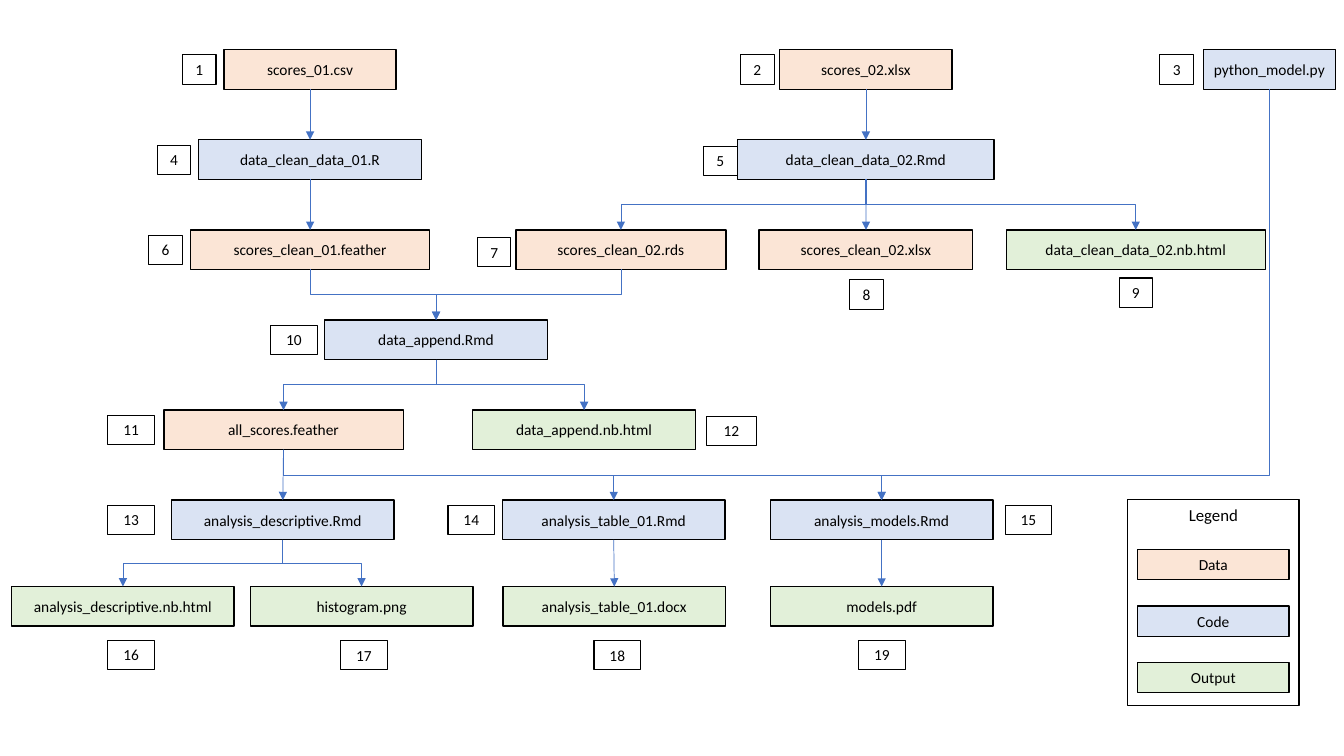
from dataclasses import dataclass

from lxml import etree
from pptx import Presentation
from pptx.dml.color import RGBColor
from pptx.enum.shapes import MSO_CONNECTOR, MSO_SHAPE
from pptx.enum.text import MSO_ANCHOR, PP_ALIGN
from pptx.oxml.ns import qn
from pptx.util import Pt

RECT = MSO_SHAPE.RECTANGLE
ELBOW, STRAIGHT = MSO_CONNECTOR.ELBOW, MSO_CONNECTOR.STRAIGHT
TOP, MIDDLE = MSO_ANCHOR.TOP, MSO_ANCHOR.MIDDLE
CENTER = PP_ALIGN.CENTER

COLORS = {
    "data": "FBE5D6",
    "code": "DAE3F3",
    "output": "E2F0D9",
    "white": "FFFFFF",
    "ink": "000000",
    "arrow": "4472C4",
}
FONT = "Calibri"
HIGH = 28.3
TAG_HIGH = 20.8
ROWS = [35.5 + 64.35 * i for i in range(6)] + [419]


@dataclass
class Node:
    text: str
    kind: str
    row: int
    left: float
    width: float
    tag: int
    tag_left: float
    drop: float = 3.8


@dataclass
class Link:
    start: str
    end: str
    bend: float = 0.5


NODES = [
    Node("scores_01.csv", "data", 0, 160, 123, 1, 130.3),
    Node("scores_02.xlsx", "data", 0, 557, 123, 2, 529),
    Node("python_model.py", "code", 0, 859.5, 94.5, 3, 828.5),
    Node("data_clean_data_01.R", "code", 1, 142, 159, 4, 112.3),
    Node("data_clean_data_02.Rmd", "code", 1, 527, 183, 5, 502.5, 4.6),
    Node("scores_clean_01.feather", "data", 2, 136, 171, 6, 106.3),
    Node("scores_clean_02.rds", "data", 2, 368.5, 150, 7, 341, 5.6),
    Node("scores_clean_02.xlsx", "data", 2, 542.3, 152.5, 8, 607, 35.8),
    Node("data_clean_data_02.nb.html", "output", 2, 718.8, 185, 9, 799.3, 34.4),
    Node("data_append.Rmd", "code", 3, 232, 159, 10, 193.3),
    Node("all_scores.feather", "data", 4, 117, 171, 11, 77),
    Node("data_append.nb.html", "output", 4, 337.7, 159, 12, 504.5, 4.4),
    Node("analysis_descriptive.Rmd", "code", 5, 122.5, 159, 13, 77),
    Node("analysis_table_01.Rmd", "code", 5, 358.9, 159, 14, 320),
    Node("analysis_models.Rmd", "code", 5, 550.3, 159, 15, 718),
    Node("analysis_descriptive.nb.html", "output", 6, 8.3, 159, 16, 77, 38.4),
    Node("histogram.png", "output", 6, 178.8, 159, 17, 243.3, 38.8),
    Node("analysis_table_01.docx", "output", 6, 359.3, 159, 18, 424.3, 38.8),
    Node("models.pdf", "output", 6, 550.3, 159, 19, 613.3, 38.4),
]

LINKS = [
    Link("scores_01.csv", "data_clean_data_01.R"),
    Link("data_clean_data_01.R", "scores_clean_01.feather"),
    Link("scores_clean_01.feather", "data_append.Rmd"),
    Link("scores_02.xlsx", "data_clean_data_02.Rmd"),
    Link("data_clean_data_02.Rmd", "scores_clean_02.rds"),
    Link("data_clean_data_02.Rmd", "scores_clean_02.xlsx"),
    Link("data_clean_data_02.Rmd", "data_clean_data_02.nb.html"),
    Link("scores_clean_02.rds", "data_append.Rmd"),
    Link("data_append.Rmd", "all_scores.feather"),
    Link("data_append.Rmd", "data_append.nb.html"),
    Link("all_scores.feather", "analysis_descriptive.Rmd"),
    Link("all_scores.feather", "analysis_table_01.Rmd"),
    Link("all_scores.feather", "analysis_models.Rmd"),
    Link("python_model.py", "analysis_models.Rmd", 0.94),
    Link("analysis_descriptive.Rmd", "analysis_descriptive.nb.html"),
    Link("analysis_descriptive.Rmd", "histogram.png"),
    Link("analysis_table_01.Rmd", "analysis_table_01.docx"),
    Link("analysis_models.Rmd", "models.pdf"),
]


def color(name: str) -> RGBColor:
    return RGBColor.from_string(COLORS[name])


def write(shape, text: str, *, size: float = 11, anchor=MIDDLE) -> None:
    frame = shape.text_frame
    frame.word_wrap = True
    frame.vertical_anchor = anchor
    frame.margin_left = frame.margin_right = Pt(0)
    para = frame.paragraphs[0]
    para.alignment = CENTER
    run = para.add_run()
    run.text = text
    run.font.name = FONT
    run.font.size = Pt(size)
    run.font.color.rgb = color("ink")


def add_box(shapes, text: str, left: float, top: float, width: float, high: float,
            *, fill: str = "", line: float = 1, **style):
    box = shapes.add_shape(RECT, Pt(left), Pt(top), Pt(width), Pt(high))
    box.shadow.inherit = False
    if fill:
        box.fill.solid()
        box.fill.fore_color.rgb = color(fill)
    else:
        box.fill.background()
    box.line.color.rgb = color("ink")
    box.line.width = Pt(line)
    write(box, text, **style)
    return box


def add_node(shapes, node: Node):
    top = ROWS[node.row]
    wide = 24 if node.tag < 10 else 33.3
    add_box(shapes, str(node.tag), node.tag_left, top + node.drop,
            36 if node.tag == 12 else wide, TAG_HIGH, line=0.75, anchor=TOP)
    return add_box(shapes, node.text, node.left, top, node.width, HIGH, fill=node.kind)


def turn(line, x1: int, y1: int, x2: int, y2: int, bend: float) -> None:
    wide, high = y2 - y1, abs(x2 - x1)
    line.left, line.top = (x1 + x2 - wide) // 2, (y1 + y2 - high) // 2
    line.width, line.height = wide, high
    right = x2 > x1
    props = line._element.spPr
    form = props.find(qn("a:xfrm"))
    form.set("rot", str((270 if right else 90) * 60000))
    form.set("flipH", "1" if right else "0")
    form.set("flipV", "0")
    guides = props.find(qn("a:prstGeom")).get_or_add_avLst()
    etree.SubElement(guides, qn("a:gd"), name="adj1", fmla=f"val {round(bend * 100000)}")


def add_link(shapes, start, end, bend: float) -> None:
    x1, y1 = start.left + start.width // 2, start.top + start.height
    x2, y2 = end.left + end.width // 2, end.top
    bent = abs(x2 - x1) > Pt(2)
    line = shapes.add_connector(ELBOW if bent else STRAIGHT, x1, y1, x2, y2)
    line.begin_connect(start, 2)
    line.end_connect(end, 0)
    if bent:
        turn(line, x1, y1, x2, y2, bend)
    line.line.color.rgb = color("arrow")
    line.line.width = Pt(0.5)
    etree.SubElement(line.line._get_or_add_ln(), qn("a:tailEnd"), type="triangle")
    etree.SubElement(line._element.spPr, qn("a:effectLst"))


def add_legend(shapes) -> None:
    group = shapes.add_group_shape().shapes
    add_box(group, "Legend", 805.5, 357, 122.5, 147, fill="white", size=12, anchor=TOP)
    for i, kind in enumerate(("data", "code", "output")):
        add_box(group, kind.title(), 812.7, 392.5 + 40.4 * i, 108, 21.6, fill=kind)


deck = Presentation()
deck.slide_width, deck.slide_height = Pt(960), Pt(540)
shapes = deck.slides.add_slide(deck.slide_layouts[6]).shapes
boxes = {node.text: add_node(shapes, node) for node in NODES}
for link in LINKS:
    add_link(shapes, boxes[link.start], boxes[link.end], link.bend)
add_legend(shapes)
deck.save("out.pptx")
